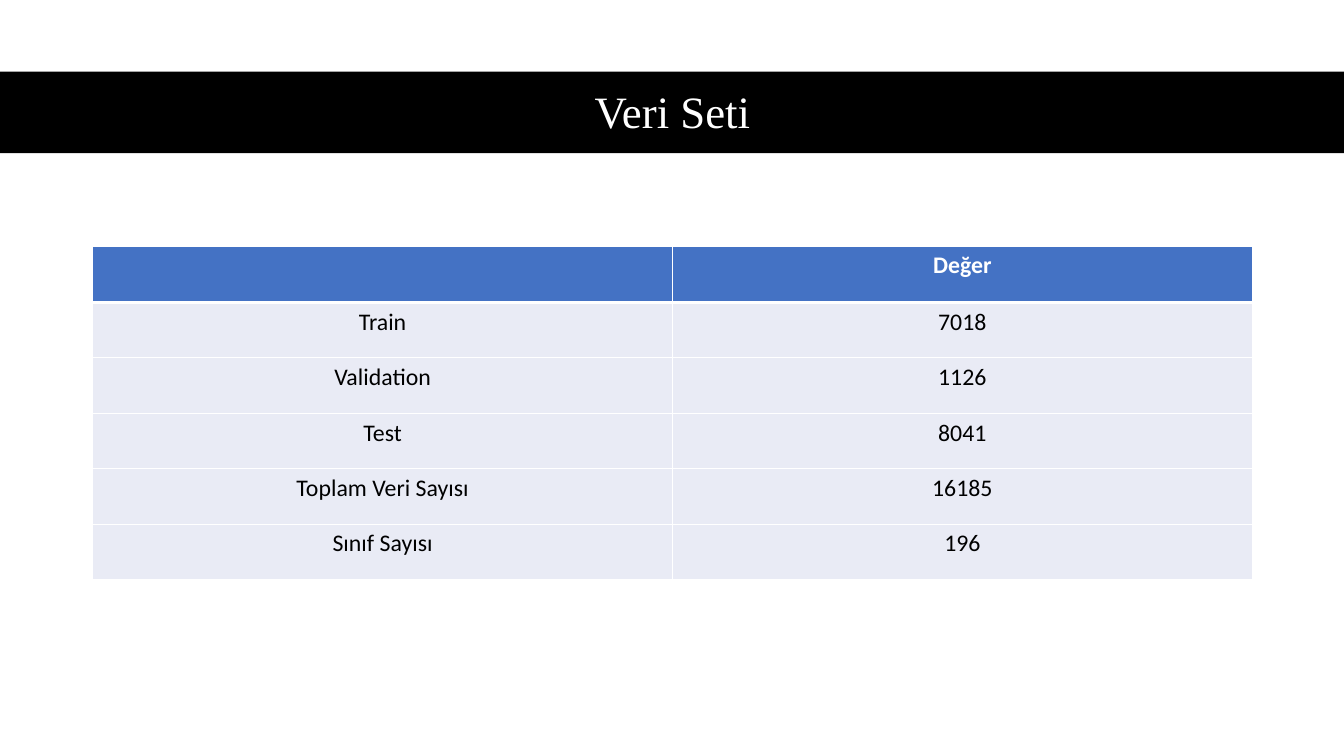
from lxml.etree import SubElement
from pptx import Presentation
from pptx.dml.color import RGBColor
from pptx.enum.shapes import MSO_SHAPE
from pptx.enum.text import MSO_ANCHOR, PP_ALIGN
from pptx.oxml.ns import qn
from pptx.util import Inches, Pt

WHITE, BLACK = "FFFFFF", "000000"
HEADER_BLUE, ROW_TINT = "4472C4", "E9EBF5"
MARGIN, CONTENT_WIDTH = 0.92, 11.5

DATASET = [
    ("", "Değer"),
    ("Train", "7018"),
    ("Validation", "1126"),
    ("Test", "8041"),
    ("Toplam Veri Sayısı", "16185"),
    ("Sınıf Sayısı", "196"),
]


def paint(fill, color):
    fill.solid()
    fill.fore_color.rgb = RGBColor.from_string(color)


def write(text_frame, text, font, size, color, bold=False):
    text_frame.text = text
    paragraph = text_frame.paragraphs[0]
    paragraph.alignment = PP_ALIGN.CENTER
    # An empty cell keeps its size through the paragraph font
    for target in paragraph.runs or [paragraph]:
        target.font.name = font
        target.font.size = Pt(size)
        target.font.bold = bold
        target.font.color.rgb = RGBColor.from_string(color)


def add_band(slide, top, height):
    band = slide.shapes.add_shape(
        MSO_SHAPE.RECTANGLE, 0, Inches(top), Inches(13.33), Inches(height))
    band.shadow.inherit = False
    paint(band.fill, BLACK)
    band.line.fill.background()


def add_title(slide, text):
    title = slide.shapes.add_textbox(
        Inches(MARGIN), Inches(0.74), Inches(CONTENT_WIDTH), Inches(0.78))
    frame = title.text_frame
    frame.word_wrap = True
    frame.vertical_anchor = MSO_ANCHOR.MIDDLE
    write(frame, text, "Times New Roman", 32, WHITE)
    frame.paragraphs[0].line_spacing = 0.9


def set_borders(cell, top, bottom):
    properties = cell._tc.get_or_add_tcPr()
    for side, width in (("L", 1), ("R", 1), ("T", top), ("B", bottom)):
        border = SubElement(properties, qn(f"a:ln{side}"), w=str(Pt(width)))
        solid = SubElement(border, qn("a:solidFill"))
        SubElement(solid, qn("a:srgbClr"), val=WHITE)


def add_dataset_table(slide, rows):
    table = slide.shapes.add_table(
        len(rows), 2, Inches(MARGIN), Inches(2.44),
        Inches(CONTENT_WIDTH), Inches(3.31)).table
    for r, values in enumerate(rows):
        is_header = r == 0
        table.rows[r].height = Inches(0.56 if is_header else 0.55)
        for c, value in enumerate(values):
            cell = table.cell(r, c)
            # Borders precede the fill; a thick rule lies under the header
            set_borders(cell, 3 if r == 1 else 1, 3 if is_header else 1)
            paint(cell.fill, HEADER_BLUE if is_header else ROW_TINT)
            write(cell.text_frame, value, "Calibri", 17,
                  WHITE if is_header else BLACK, is_header)


def main():
    deck = Presentation()
    deck.slide_width, deck.slide_height = Inches(13.33), Inches(7.5)
    slide = deck.slides.add_slide(deck.slide_layouts[6])

    # Title band
    add_band(slide, 0.71, 0.81)
    add_title(slide, "Veri Seti")

    # Dataset sizes
    add_dataset_table(slide, DATASET)

    deck.save("out.pptx")


main()
